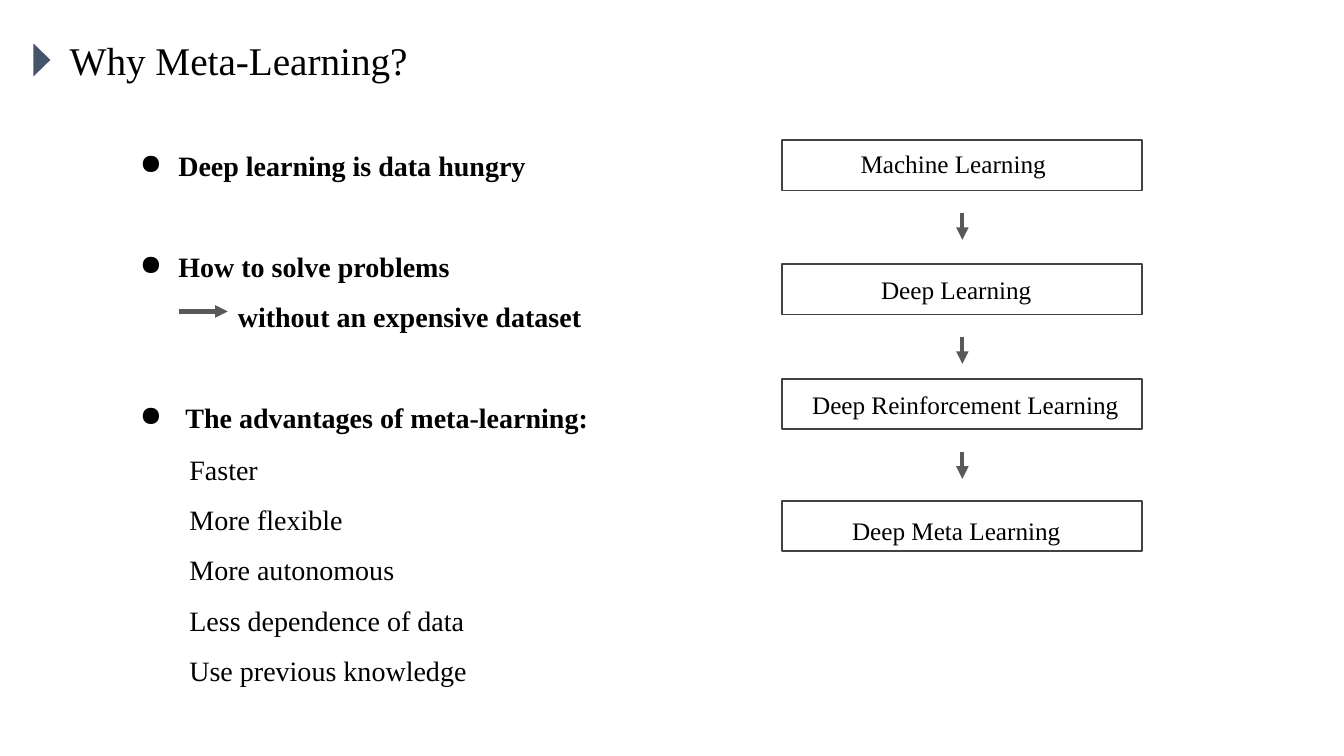
from lxml import etree
from pptx import Presentation
from pptx.dml.color import RGBColor
from pptx.enum import shapes, text
from pptx.oxml import ns
from pptx.util import Inches, Pt

BLACK = RGBColor(0x00, 0x00, 0x00)
SLATE = RGBColor(0x44, 0x54, 0x6A)
ARROW = RGBColor(0x59, 0x59, 0x59)
OUTLINE = RGBColor(0x42, 0x42, 0x42)
FONT = "Times New Roman"

# Text, indent, bulleted, space before
POINTS = [
    ("Deep learning is data hungry", 0.38, True, 0),
    ("How to solve problems", 0.38, True, 36),
    ("without an expensive dataset", 0.97, False, 0),
    ("The advantages of meta-learning:", 0.45, True, 36),
]
ADVANTAGES = ["Faster", "More flexible", "More autonomous",
              "Less dependence of data", "Use previous knowledge"]
# Label, top of its box, shift of the label right and down
STAGES = [
    ("Machine Learning", 1.39, -0.09, -0.02),
    ("Deep Learning", 2.62, -0.06, 0),
    ("Deep Reinforcement Learning", 3.76, 0.03, 0),
    ("Deep Meta Learning", 4.97, -0.06, 0.04),
]


def set_font(paragraph, size, bold=False):
    """Give a paragraph its font."""
    font = paragraph.font
    font.name, font.size, font.bold = FONT, Pt(size), bold
    font.color.rgb = BLACK


def add_arrow(page, left, top, right, bottom):
    """Draw a thick line with a triangular head at its end."""
    arrow = page.shapes.add_connector(
        shapes.MSO_CONNECTOR.STRAIGHT,
        Inches(left), Inches(top), Inches(right), Inches(bottom))
    arrow.line.color.rgb = ARROW
    arrow.line.width = Pt(3)
    etree.SubElement(arrow.line._get_or_add_ln(), ns.qn("a:tailEnd"), type="triangle")
    etree.SubElement(arrow._element.spPr, ns.qn("a:effectLst"))


def add_text_frame(page, left, top, width, height):
    """Add a wrapping text box and return its frame."""
    box = page.shapes.add_textbox(
        Inches(left), Inches(top), Inches(width), Inches(height))
    box.text_frame.word_wrap = True
    return box.text_frame


def add_line(frame, index, content):
    """Write one widely spaced line and return its paragraph."""
    paragraph = frame.add_paragraph() if index else frame.paragraphs[0]
    paragraph.text = content
    paragraph.line_spacing = 1.5
    return paragraph


def add_heading(page, left, top):
    """Place the title and the triangle that marks it."""
    title = page.shapes.title
    title.left, title.top = Inches(left + 0.34), Inches(top)
    title.width, title.height = Inches(3.59), Inches(0.57)
    frame = title.text_frame
    frame.text = "Why Meta-Learning?"
    frame.word_wrap = False
    frame.vertical_anchor = text.MSO_ANCHOR.TOP
    paragraph = frame.paragraphs[0]
    paragraph.alignment = text.PP_ALIGN.LEFT
    paragraph.line_spacing = 1.0
    set_font(paragraph, 28)

    marker = page.shapes.add_shape(
        shapes.MSO_SHAPE.ISOSCELES_TRIANGLE,
        Inches(left), Inches(top + 0.2), Inches(0.33), Inches(0.17))
    marker.rotation = 90
    marker.shadow.inherit = False
    marker.fill.solid()
    marker.fill.fore_color.rgb = SLATE
    marker.line.fill.background()


def add_points(page, left, top, width):
    """Place the bulleted points and the list of advantages below them."""
    frame = add_text_frame(page, left, top, width, 3.01)
    for index, (content, indent, bulleted, before) in enumerate(POINTS):
        paragraph = add_line(frame, index, content)
        if before:
            paragraph.space_before = Pt(before)
        properties = paragraph._p.get_or_add_pPr()
        properties.set("marL", str(Inches(indent)))
        if bulleted:
            properties.set("indent", str(-Inches(indent)))
            etree.SubElement(properties, ns.qn("a:buChar"), char="●")
        set_font(paragraph, 20, bold=True)
    add_arrow(page, left + 0.49, top + 1.83, left + 0.97, top + 1.83)

    frame = add_text_frame(page, left + 0.49, top + 3.01, width, 2.57)
    for index, content in enumerate(ADVANTAGES):
        set_font(add_line(frame, index, content), 20)


def add_stages(page, left, width, height):
    """Stack the stage boxes with an arrow below each but the last."""
    center = left + width / 2
    for index, (label, top, right, down) in enumerate(STAGES):
        box = page.shapes.add_shape(
            shapes.MSO_SHAPE.RECTANGLE,
            Inches(left), Inches(top), Inches(width), Inches(height))
        box.shadow.inherit = False
        box.fill.background()
        box.line.color.rgb = OUTLINE
        box.line.width = Pt(1.25)
        frame = box.text_frame
        frame.word_wrap = True
        frame.vertical_anchor = text.MSO_ANCHOR.MIDDLE
        frame.margin_left, frame.margin_right = Inches(0.1 + right), Inches(0.1 - right)
        frame.margin_top, frame.margin_bottom = Inches(0.05 + down), Inches(0.05 - down)
        frame.text = label
        frame.paragraphs[0].alignment = text.PP_ALIGN.CENTER
        set_font(frame.paragraphs[0], 18)
        if index < len(STAGES) - 1:
            start = top + height + 0.22
            add_arrow(page, center, start, center, start + 0.27)


def main():
    """Build the slide and save it."""
    deck = Presentation()
    deck.slide_width, deck.slide_height = Inches(13.33), Inches(7.5)
    page = deck.slides.add_slide(deck.slide_layouts[5])
    add_heading(page, 0.25, 0.31)
    add_points(page, 1.29, 1.26, 6.8)
    add_stages(page, 7.76, 3.57, 0.5)
    deck.save("out.pptx")


if __name__ == "__main__":
    main()
